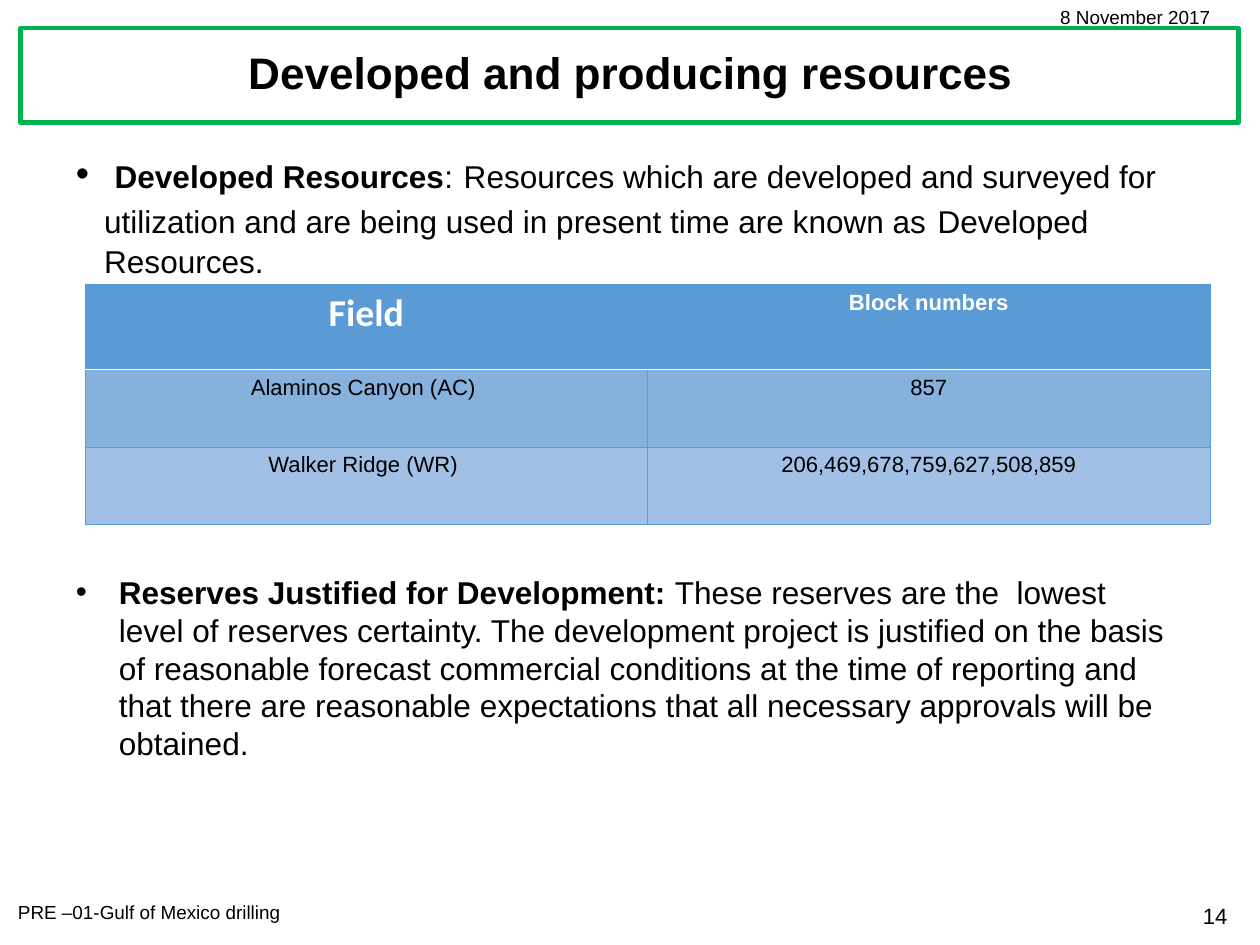
from dataclasses import dataclass

from lxml import etree
from pptx import Presentation
from pptx.dml.color import RGBColor
from pptx.enum import shapes, text
from pptx.oxml import ns
from pptx.util import Inches, Pt


@dataclass(frozen=True)
class Theme:
    ink: str = "000000"
    paper: str = "FFFFFF"
    frame: str = "00B050"
    header: str = "5B9BD5"
    bands: tuple[str, ...] = ("86B1DD", "A2BFE5")
    font: str = "Arial"
    header_font: str = "Calibri"
    title: float = 28
    lead: float = 24
    body: float = 20
    cell: float = 14
    small: float = 12


@dataclass(frozen=True)
class Span:
    words: str
    size: float
    bold: bool = False
    color: str = "000000"
    font: str = "Arial"


@dataclass(frozen=True)
class Block:
    left: float
    top: float
    width: float
    height: float
    spans: tuple[Span, ...]
    align: text.PP_ALIGN = text.PP_ALIGN.LEFT
    indent: float = 0
    before: float = 0


@dataclass(frozen=True)
class Edge:
    color: str
    width: float


THEME = Theme()
CENTER = text.PP_ALIGN.CENTER

LABELS = (
    Block(9.4, 7.91, 1.52, 0.34, (Span("14", THEME.cell),), text.PP_ALIGN.RIGHT),
    Block(0.06, 7.89, 4.28, 0.3,
          (Span("PRE –01-Gulf of Mexico drilling", THEME.small),)),
    Block(9.25, 0, 1.68, 0.3, (Span("8 November 2017", THEME.small),)),
)
DEFINITIONS = (
    Block(0.57, 1.28, 10.11, 1.2, (
        Span("\u00a0", THEME.lead),
        Span("Developed Resources", THEME.body, True),
        Span(":", THEME.body),
        Span("\u00a0", THEME.lead),
        Span("Resources\u00a0which are\u00a0developed\u00a0and surveyed for "
             "utilization and are being used in present time are known as",
             THEME.body),
        Span("\u00a0", THEME.lead),
        Span("Developed Resources.", THEME.body),
    ), indent=0.25, before=10),
    Block(0.57, 5, 9.87, 1.85, (
        Span("Reserves Justified for Development: ", THEME.body, True),
        Span("These reserves are the  lowest level of reserves certainty. "
             "The development project is justified on the basis of reasonable "
             "forecast commercial conditions at the time of reporting and that "
             "there are reasonable expectations that all necessary approvals "
             "will be obtained.", THEME.body),
    ), indent=0.38),
)
HEADINGS = (
    Span("Field", THEME.lead, True, THEME.paper, THEME.header_font),
    Span("Block numbers", THEME.cell, True, THEME.paper),
)
FIELDS = (
    ("Alaminos Canyon (AC) ", "857"),
    ("Walker Ridge (WR) ", "206,469,678,759,627,508,859"),
)


def rgb(color: str) -> RGBColor:
    return RGBColor.from_string(color)


def add_spans(para, spans: tuple[Span, ...]) -> None:
    for span in spans:
        run = para.add_run()
        run.text = span.words
        run.font.size = Pt(span.size)
        run.font.bold = span.bold
        run.font.name = span.font
        run.font.color.rgb = rgb(span.color)


def add_bullet(para, indent: float) -> None:
    props = para._p.get_or_add_pPr()
    props.set("marL", str(Inches(indent)))
    props.set("indent", str(-Inches(indent)))
    etree.SubElement(props, ns.qn("a:buFont"), typeface=THEME.font)
    etree.SubElement(props, ns.qn("a:buChar"), char="•")


def add_block(page, block: Block) -> None:
    box = page.shapes.add_textbox(Inches(block.left), Inches(block.top),
                                  Inches(block.width), Inches(block.height))
    box.text_frame.word_wrap = True
    para = box.text_frame.paragraphs[0]
    para.alignment = block.align
    para.space_before = Pt(block.before)
    if block.indent:
        add_bullet(para, block.indent)
    add_spans(para, block.spans)


def add_title(page) -> None:
    title = page.shapes.title
    title.left, title.top = Inches(0.21), Inches(0.25)
    title.width, title.height = Inches(10.69), Inches(0.83)
    title.text_frame.vertical_anchor = text.MSO_ANCHOR.MIDDLE
    para = title.text_frame.paragraphs[0]
    para.alignment = CENTER
    para.line_spacing = 0.9
    add_spans(para, (Span("Developed and producing resources", THEME.title, True),))

    frame = page.shapes.add_shape(shapes.MSO_SHAPE.RECTANGLE, Inches(0.18),
                                  Inches(0.25), Inches(10.74), Inches(0.83))
    frame.shadow.inherit = False
    frame.fill.solid()
    frame.fill.fore_color.rgb = rgb(THEME.paper)
    frame.line.color.rgb = rgb(THEME.frame)
    frame.line.width = Pt(2.75)
    title.element.addprevious(frame.element)


def set_edges(cell, edges: dict[str, Edge]) -> None:
    props = cell._tc.get_or_add_tcPr()
    for index, (tag, edge) in enumerate(edges.items()):
        line = etree.Element(ns.qn(f"a:{tag}"), w=str(Pt(edge.width)))
        fill = etree.SubElement(line, ns.qn("a:solidFill"))
        etree.SubElement(fill, ns.qn("a:srgbClr"), val=edge.color)
        props.insert(index, line)


def fill_cell(cell, span: Span, color: str, edges: dict[str, Edge]) -> None:
    cell.fill.solid()
    cell.fill.fore_color.rgb = rgb(color)
    set_edges(cell, edges)
    para = cell.text_frame.paragraphs[0]
    para.alignment = CENTER
    add_spans(para, (span,))


def add_field_table(page) -> None:
    grid = page.shapes.add_table(len(FIELDS) + 1, len(HEADINGS), Inches(0.75),
                                 Inches(2.51), Inches(9.92), Inches(2.11)).table
    for row, height in zip(grid.rows, (0.75, 0.68, 0.68)):
        row.height = Inches(height)
    thin, rule = Edge(THEME.header, 0.5), Edge(THEME.paper, 1)
    sides = {"lnL": thin, "lnR": thin}
    for col, heading in enumerate(HEADINGS):
        fill_cell(grid.cell(0, col), heading, THEME.header,
                  {**sides, "lnT": thin, "lnB": rule})
    for row, (values, band) in enumerate(zip(FIELDS, THEME.bands), 1):
        top = rule if row == 1 else thin
        for col, value in enumerate(values):
            fill_cell(grid.cell(row, col), Span(value, THEME.cell), band,
                      {**sides, "lnT": top, "lnB": thin})


def main() -> None:
    deck = Presentation()
    deck.slide_width, deck.slide_height = Inches(11.11), Inches(8.33)
    page = deck.slides.add_slide(deck.slide_layouts[5])
    add_title(page)
    for block in LABELS + DEFINITIONS:
        add_block(page, block)
    add_field_table(page)
    deck.save("out.pptx")


main()
